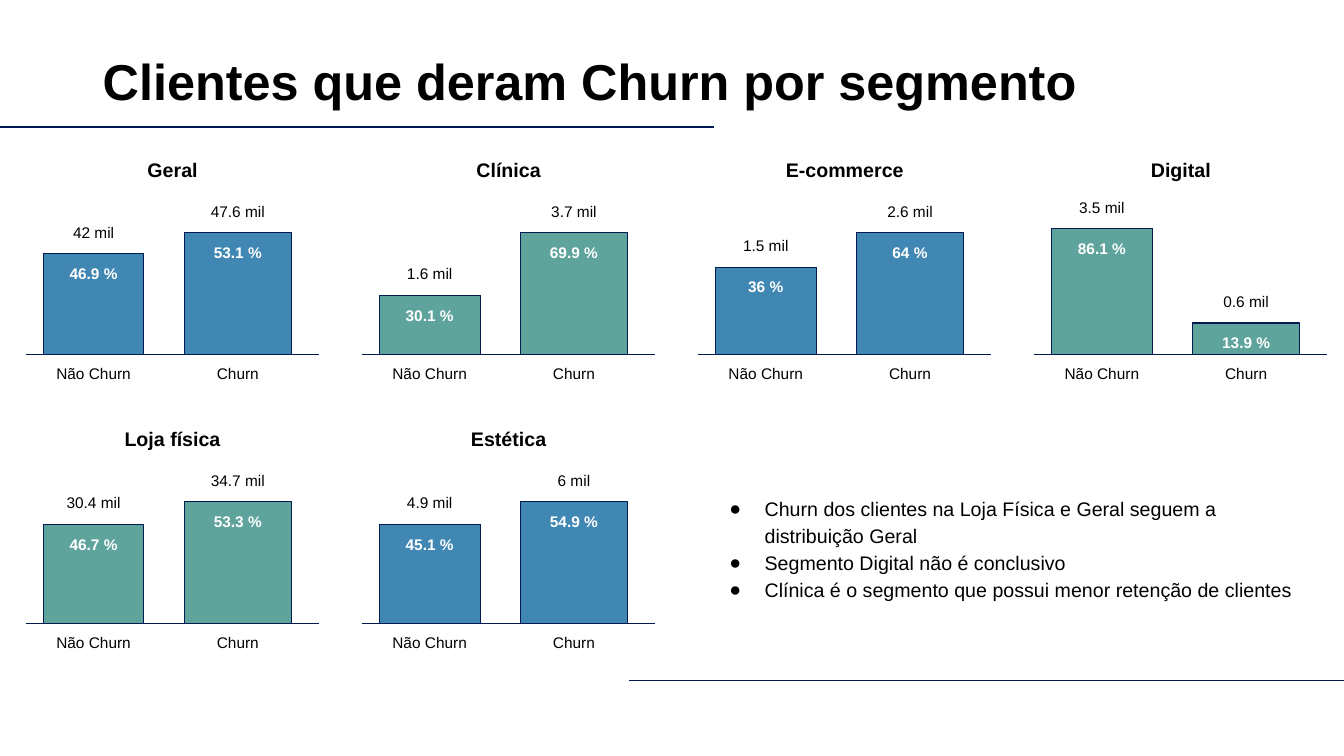
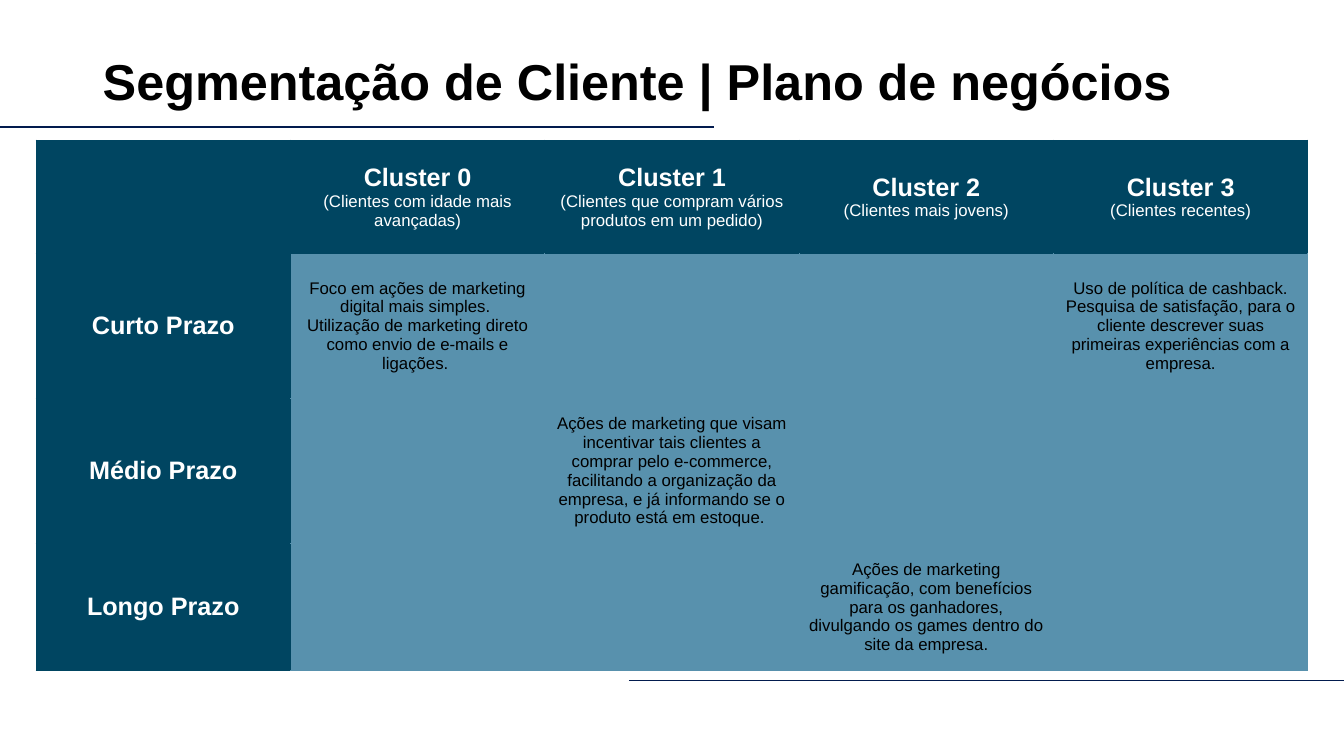
from lxml import etree
from pptx import Presentation
from pptx import util as u
from pptx.dml import color
from pptx.enum import shapes, text
from pptx.oxml import ns

INK, WHITE, NAVY = "000000", "FFFFFF", "021B4E"
BLUE, GREEN = "4187B4", "5EA39C"
DARK, LIGHT = "004561", "5891AD"
FONT = "Arial"
PAD = u.Cm(0.25)
THIN = u.Pt(0.75)
MID, LEFT = text.PP_ALIGN.CENTER, text.PP_ALIGN.LEFT

WIDE = 7.38
BARS = [(0.43, 2.54), (3.99, 2.69)]
KINDS = ["Não Churn", "Churn"]
PANELS = [
    ("Geral", 0, 0, BLUE, [(2.54, "42 mil", "46.9 %"), (3.07, "47.6 mil", "53.1 %")]),
    ("Clínica", 1, 0, GREEN, [(1.49, "1.6 mil", "30.1 %"), (3.07, "3.7 mil", "69.9 %")]),
    ("E-commerce", 2, 0, BLUE, [(2.21, "1.5 mil", "36 %"), (3.07, "2.6 mil", "64 %")]),
    ("Digital", 3, 0, GREEN, [(3.17, "3.5 mil", "86.1 %"), (0.8, "0.6 mil", "13.9 %")]),
    ("Loja física", 0, 1, GREEN, [(2.5, "30.4 mil", "46.7 %"), (3.07, "34.7 mil", "53.3 %")]),
    ("Estética", 1, 1, BLUE, [(2.5, "4.9 mil", "45.1 %"), (3.07, "6 mil", "54.9 %")]),
]
NOTES = [
    "Churn dos clientes na Loja Física e Geral seguem a distribuição Geral",
    "Segmento Digital não é conclusivo",
    "Clínica é o segmento que possui menor retenção de clientes",
]
HEADS = [
    ("Cluster 0", "(Clientes com idade mais avançadas)"),
    ("Cluster 1", "(Clientes que compram vários produtos em um pedido)"),
    ("Cluster 2", "(Clientes mais jovens)"),
    ("Cluster 3", "(Clientes recentes)"),
]
TERMS = ["Curto Prazo", "Médio Prazo", "Longo Prazo"]
PLANS = {
    (1, 1): ["Foco em ações de marketing digital mais simples. ",
             "Utilização de marketing direto como envio de e-mails e ligações. "],
    (1, 4): ["Uso de política de cashback.",
             "Pesquisa de satisfação, para o cliente descrever suas "
             "primeiras experiências com a empresa."],
    (2, 2): ["Ações de marketing que visam incentivar tais clientes a comprar "
             "pelo e-commerce, facilitando a organização da empresa, e já "
             "informando se o produto está em estoque. "],
    (3, 3): ["Ações de marketing gamificação, com benefícios para os ganhadores, "
             "divulgando os games dentro do site da empresa."],
}
ROWS = [2.85, 3.66, 3.66, 3.2]
COL = 6.41


def rgb(code):
    return color.RGBColor.from_string(code)


def node(parent, tag, **attrs):
    return etree.SubElement(parent, ns.qn(tag), attrs)


def write(frame, lines, align=MID, gap=None, mark=False):
    for i, (words, size, tint, bold) in enumerate(lines):
        para = frame.paragraphs[0] if i == 0 else frame.add_paragraph()
        if mark:
            bullet(para)
        para.alignment = align
        if gap:
            para.line_spacing = gap
        run = para.add_run()
        run.text = words
        font = run.font
        font.name, font.size, font.bold = FONT, u.Pt(size), bold
        font.color.rgb = rgb(tint)


def bullet(para):
    props = para._p.get_or_add_pPr()
    props.set("marL", str(u.Cm(1.27)))
    props.set("indent", str(u.Cm(-0.89)))
    node(node(props, "a:buClr"), "a:srgbClr", val=INK)
    node(props, "a:buFont", typeface=FONT)
    node(props, "a:buChar", char="●")


def label(home, x, y, w, h, lines, anchor=text.MSO_ANCHOR.TOP, **style):
    frame = home.add_textbox(u.Cm(x), u.Cm(y), u.Cm(w), u.Cm(h)).text_frame
    frame.word_wrap = True
    frame.vertical_anchor = anchor
    frame.margin_left = frame.margin_right = PAD
    frame.margin_top = frame.margin_bottom = PAD
    write(frame, lines, **style)


def rule(home, x, y, w):
    line = home.add_connector(shapes.MSO_CONNECTOR.STRAIGHT,
                              u.Cm(x), u.Cm(y), u.Cm(x + w), u.Cm(y))
    line.line.color.rgb = rgb(NAVY)
    line.line.width = THIN
    node(line._element.spPr, "a:effectLst")


def bar(home, x, y, w, h, tint):
    box = home.add_shape(shapes.MSO_SHAPE.RECTANGLE,
                         u.Cm(x), u.Cm(y), u.Cm(w), u.Cm(h))
    box.shadow.inherit = False
    box.fill.solid()
    box.fill.fore_color.rgb = rgb(tint)
    box.line.color.rgb = rgb(NAVY)
    box.line.width = THIN


def panel(home, name, col, row, tint, data):
    x, base = 0.66 + 8.47 * col, 8.94 + 6.78 * row
    group = home.add_group_shape().shapes
    label(group, x, base - 5.21, WIDE, 1.12, [(name, 14, INK, True)])
    rule(group, x, base, WIDE)
    for (dx, w), kind, (h, count, share) in zip(BARS, KINDS, data):
        top = base - h
        bar(group, x + dx, top, w, h, tint)
        left = x + dx + w / 2 - 1.49
        for y, words, ink, bold in [(top - 1.02, count, INK, False),
                                    (top + 0.03, share, WHITE, True),
                                    (base, kind, INK, False)]:
            label(group, left, y, 2.98, 0.99, [(words, 11, ink, bold)])


def edge(cell, tints):
    props = cell._tc.get_or_add_tcPr()
    for i, (side, tint) in enumerate(zip("LRTB", tints)):
        line = etree.Element(ns.qn("a:ln" + side), w=str(THIN))
        node(node(line, "a:solidFill"), "a:srgbClr", val=tint)
        props.insert(i, line)


def lines(r, c):
    if r == 0 and c:
        head, who = HEADS[c - 1]
        return [(head, 18, WHITE, True), (who, 12, WHITE, False)]
    if r and c == 0:
        return [(TERMS[r - 1], 18, WHITE, True)]
    return [(words, 12, INK, False) for words in PLANS.get((r, c), [])]


def grid(home):
    wide = len(HEADS) + 1
    table = home.add_table(len(ROWS), wide, u.Cm(0.91), u.Cm(3.53),
                           u.Cm(COL * wide), u.Cm(sum(ROWS))).table
    table.first_row = table.horz_banding = False
    for col in table.columns:
        col.width = u.Cm(COL)
    for r, high in enumerate(ROWS):
        table.rows[r].height = u.Cm(high)
        for c in range(wide):
            cell = table.cell(r, c)
            tint = LIGHT if r and c else DARK
            cell.fill.solid()
            cell.fill.fore_color.rgb = rgb(tint)
            edge(cell, [DARK if c == 1 else tint, tint,
                        DARK if r == 1 else tint, tint])
            cell.vertical_anchor = text.MSO_ANCHOR.MIDDLE
            cell.margin_left = cell.margin_right = PAD
            cell.margin_top = cell.margin_bottom = PAD
            write(cell.text_frame, lines(r, c))


def page(deck, title):
    home = deck.slides.add_slide(deck.slide_layouts[6]).shapes
    rule(home, 0, 3.2, 18)
    rule(home, 15.85, 17.15, 18.02)
    label(home, 2.34, 1.02, 29.21, 2.2, [(title, 36, INK, True)],
          anchor=text.MSO_ANCHOR.MIDDLE, align=LEFT, gap=0.9)
    return home


def main():
    deck = Presentation()
    deck.slide_width, deck.slide_height = u.Cm(33.87), u.Cm(19.05)
    home = page(deck, "Clientes que deram Churn por segmento")
    for item in PANELS:
        panel(home, *item)
    label(home, 17.75, 12.19, 15.52, 3.18,
          [(note, 14, INK, False) for note in NOTES],
          align=LEFT, gap=1.15, mark=True)
    grid(page(deck, "Segmentação de Cliente | Plano de negócios"))
    deck.save("out.pptx")


if __name__ == "__main__":
    main()
